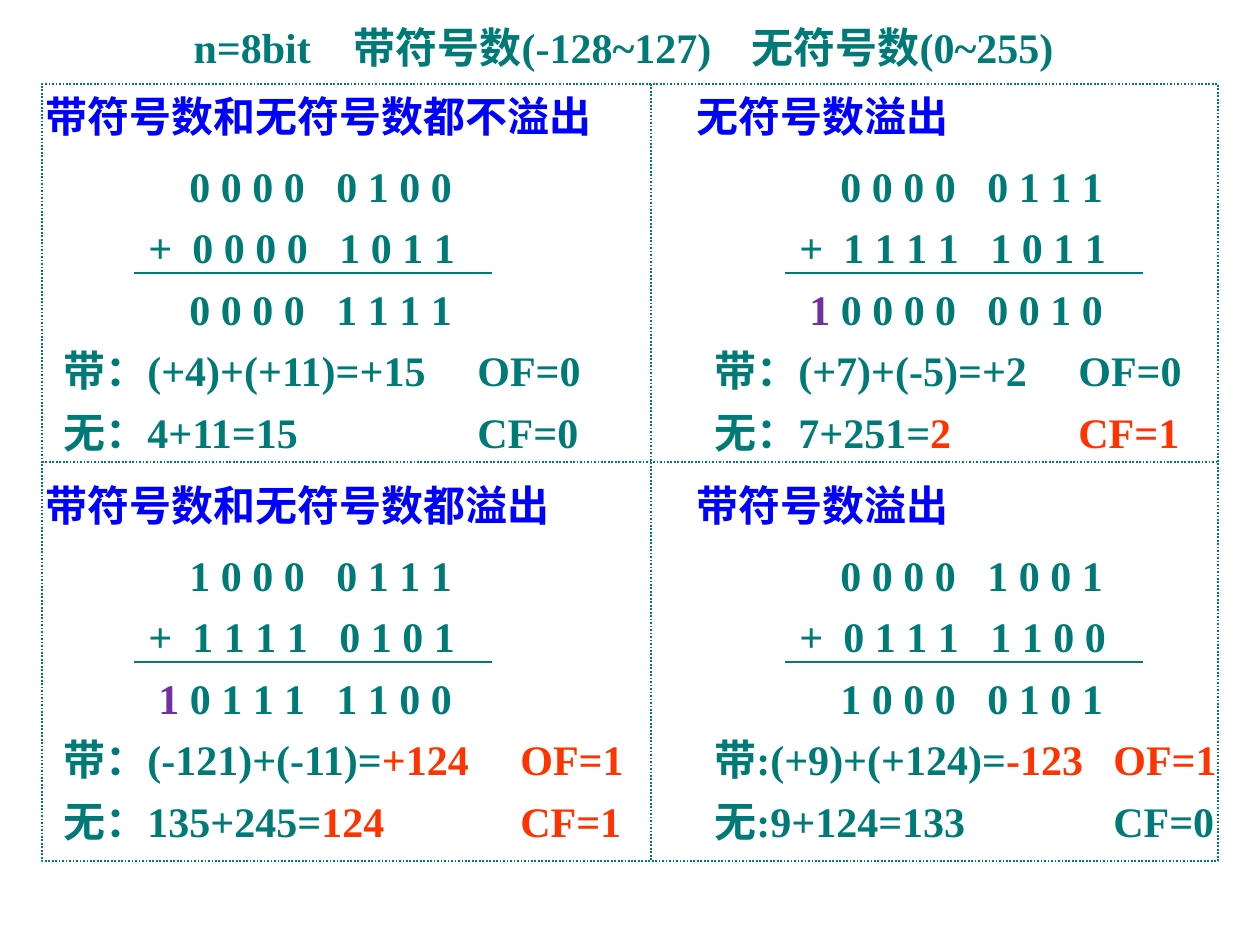
from lxml.etree import SubElement
from pptx import Presentation
from pptx.dml.color import RGBColor
from pptx.enum.dml import MSO_LINE_DASH_STYLE as Dash
from pptx.enum.shapes import MSO_CONNECTOR as Connector, MSO_SHAPE as Shape
from pptx.enum.text import MSO_ANCHOR as Anchor, MSO_AUTO_SIZE as AutoSize, PP_ALIGN as Align
from pptx.oxml.ns import qn
from pptx.util import Pt

PX = 914400 // 126
TEAL = RGBColor(0x00, 0x7A, 0x77)
BLUE = RGBColor(0x00, 0x00, 0xFF)
PURPLE = RGBColor(0x70, 0x30, 0xA0)
RED = RGBColor(0xFF, 0x33, 0x00)

# Tab stops, measured from the left edge of the text
DIGIT_STOPS = (126, 273)
ADDEND_STOPS = (85, 129, 276)
CARRY_STOPS = (95, 273)
TITLE_STOPS = (160, 558)

BLOCK_LEFT, BLOCK_TOP = 33, 84
BLOCK_STEP_X, BLOCK_STEP_Y = 651, 389

# Heading, addends, carry, sum, signed row, unsigned row, tab stop of the flags
EXAMPLES = [
    ("带符号数和无符号数都不溢出", "0 0 0 0\t0 1 0 0", "0 0 0 0\t1 0 1 1",
     "", "0 0 0 0\t1 1 1 1",
     [("带：(+4)+(+11)=+15\tOF=0", TEAL)],
     [("无：4+11=15\tCF=0", TEAL)], 414),
    ("无符号数溢出", "0 0 0 0\t0 1 1 1", "1 1 1 1\t1 0 1 1",
     "1", "0 0 0 0\t0 0 1 0",
     [("带：(+7)+(-5)=+2\tOF=0", TEAL)],
     [("无：7+251=", TEAL), ("2\tCF=1", RED)], 364),
    ("带符号数和无符号数都溢出", "1 0 0 0\t0 1 1 1", "1 1 1 1\t0 1 0 1",
     "1", "0 1 1 1\t1 1 0 0",
     [("带：(-121)+(-11)=", TEAL), ("+124\tOF=1", RED)],
     [("无：135+245=", TEAL), ("124\tCF=1", RED)], 457),
    ("带符号数溢出", "0 0 0 0\t1 0 0 1", "0 1 1 1\t1 1 0 0",
     "", "1 0 0 0\t0 1 0 1",
     [("带:(+9)+(+124)=", TEAL), ("-123\tOF=1", RED)],
     [("无:9+124=133\tCF=0", TEAL)], 399),
]


def px(*lengths):
    return [length * PX for length in lengths]


def write_line(paragraph, pieces, stops=()):
    """Fill a paragraph with (text, colour) pieces and left tab stops."""
    if stops:
        tabs = SubElement(paragraph._p.get_or_add_pPr(), qn("a:tabLst"))
        for stop in stops:
            SubElement(tabs, qn("a:tab"), pos=str(stop * PX), algn="l")
    paragraph.alignment = Align.LEFT
    for text, colour in pieces:
        run = paragraph.add_run()
        run.text = text
        run.font.name = "Times New Roman"
        run.font.size = Pt(24)
        run.font.bold = True
        run.font.color.rgb = colour


def add_line(slide, x1, y1, x2, y2, dash=None):
    line = slide.shapes.add_connector(Connector.STRAIGHT, *px(x1, y1, x2, y2))
    line.line.color.rgb = TEAL
    line.line.width = Pt(1)
    if dash:
        line.line.dash_style = dash
    SubElement(line._element.spPr, qn("a:effectLst"))


def add_title(slide, left, top, width, height):
    title = slide.shapes.title
    title.left, title.top, title.width, title.height = px(left, top, width, height)
    frame = title.text_frame
    frame.auto_size = AutoSize.NONE
    frame.vertical_anchor = Anchor.TOP
    write_line(frame.paragraphs[0],
               [("n=8bit\t带符号数(-128~127)\t无符号数(0~255)", TEAL)], TITLE_STOPS)


def add_grid(slide, left, top, width, height, split_x, split_y):
    """Dotted frame divided into four cells."""
    border = slide.shapes.add_shape(Shape.RECTANGLE, *px(left, top, width, height))
    border.shadow.inherit = False
    border.fill.background()
    border.line.color.rgb = TEAL
    border.line.width = Pt(1)
    border.line.dash_style = Dash.ROUND_DOT
    add_line(slide, left, top + split_y, left + width, top + split_y, Dash.ROUND_DOT)
    add_line(slide, left + split_x, top, left + split_x, top + height, Dash.ROUND_DOT)


def add_example(slide, left, top, example):
    """Heading, binary addition and the flags it sets."""
    heading, first, second, carry, total, signed, unsigned, flag_stop = example

    caption = slide.shapes.add_textbox(*px(left, top, 571, 63)).text_frame
    caption.word_wrap = True
    write_line(caption.paragraphs[0], [(heading, BLUE)])

    if carry:
        total_row = [("\t", TEAL), (carry, PURPLE), (f" {total}", TEAL)]
    else:
        total_row = [(f"\t{total}", TEAL)]
    rows = [
        ([(f"\t{first}", TEAL)], DIGIT_STOPS),
        ([(f"\t+\t{second}", TEAL)], ADDEND_STOPS),
        (total_row, CARRY_STOPS if carry else DIGIT_STOPS),
        (signed, (flag_stop,)),
        (unsigned, (flag_stop,)),
    ]
    sums = slide.shapes.add_textbox(*px(left + 18, top + 84, 588, 295)).text_frame
    # Rows stay on one line, however wide the flags reach
    sums.word_wrap = True
    sums.margin_right = 0
    for index, (pieces, stops) in enumerate(rows):
        paragraph = sums.add_paragraph() if index else sums.paragraphs[0]
        write_line(paragraph, pieces, stops)
        paragraph.line_spacing = 0.7
        if index:
            paragraph.space_before = Pt(15)

    add_line(slide, left + 101, top + 189, left + 459, top + 189)


def main():
    deck = Presentation()
    deck.slide_width, deck.slide_height = px(1260, 945)
    slide = deck.slides.add_slide(deck.slide_layouts[5])
    add_title(slide, 181, 15, 920, 63)
    for index, example in enumerate(EXAMPLES):
        row, column = divmod(index, 2)
        add_example(slide, BLOCK_LEFT + column * BLOCK_STEP_X,
                    BLOCK_TOP + row * BLOCK_STEP_Y, example)
    add_grid(slide, 42, 84, 1176, 777, 609, 378)
    deck.save("out.pptx")


if __name__ == "__main__":
    main()
